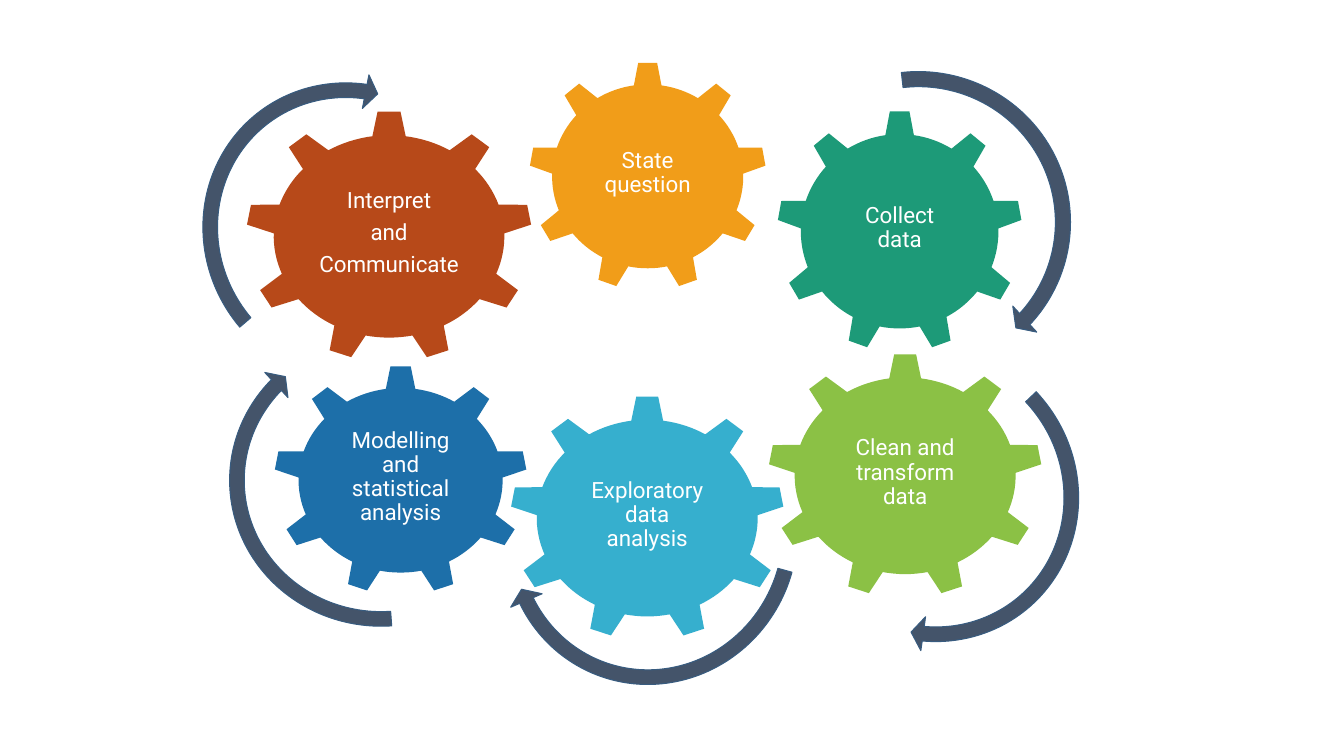
from math import cos, radians, sin

from pptx import Presentation
from pptx.dml.color import RGBColor
from pptx.enum.shapes import MSO_SHAPE as Preset
from pptx.enum.text import MSO_ANCHOR as Anchor, PP_ALIGN as Align
from pptx.util import Inches, Pt

# Content: centre x, centre y, width, height in percent of the slide
GEARS = [
    (["State question"], "F19D19", (48.19, 23.33, 17.78, 30.4)),
    (["Collect data"], "1D9A78", (66.94, 30.6, 18.38, 32.13)),
    (["Clean and transform data"], "8BC145", (67.35, 62.93, 20.55, 32.53)),
    (["Exploratory data analysis"], "36AFCE", (48.16, 68.53, 20.55, 32.53)),
    (["Modelling and statistical analysis"], "1D6FA9", (29.81, 63.53, 18.98, 30.53)),
    (["Interpret", "and", "Communicate"], "B74919", (28.95, 31.27, 21.45, 33.47)),
]
# Content: rotation, start angle of the arc, place in percent of the slide
FIRST_ARROW = (0, 158.12, (68.33, 29.4, 24.15, 42.53))
OTHER_ARROWS = [
    (50.6, 159.49, (69.23, 65.13, 24, 41.2)),
    (109.5, 159.49, (48.45, 70.6, 24, 41.2)),
    (180, 159.49, (28.35, 63.53, 24, 41.2)),
    (233.7, 159.49, (26.1, 30.73, 24, 41.2)),
]
ARROW_FILL, ARROW_LINE = "44546A", "385C80"

# Gear outline: (degrees from the tooth axis, share of the outer radius)
TEETH = 9
TOOTH = [(-8.3, 0.8), (-4.6, 0.99), (4.6, 0.99), (8.3, 0.8)]
VALLEY = [(degrees, 0.8) for degrees in range(11, 31, 3)]

FRAME_FORMAT = {
    "word_wrap": True,
    "vertical_anchor": Anchor.MIDDLE,
    "margin_left": Inches(0.71),
    "margin_right": Inches(0.71),
    "margin_top": Inches(0.83),
    "margin_bottom": Inches(0.85),
}
PARAGRAPH_FORMAT = {"alignment": Align.CENTER, "line_spacing": 0.9, "space_after": Pt(5.6)}
FONT_FORMAT = {"name": "Roboto", "size": Pt(16)}

presentation = Presentation()
presentation.slide_width, presentation.slide_height = Inches(13.33), Inches(7.5)
slide = presentation.slides.add_slide(presentation.slide_layouts[6])


def color(value):
    return RGBColor.from_string(value)


def apply(target, formats):
    for name, value in formats.items():
        setattr(target, name, value)


def to_lengths(place):
    """Turn percentages into centre x, centre y, width and height."""
    sides = (presentation.slide_width, presentation.slide_height) * 2
    return [round(share * side / 100) for share, side in zip(place, sides)]


def paint(shape, fill):
    shape.shadow.inherit = False
    shape.fill.solid()
    shape.fill.fore_color.rgb = color(fill)


def add_gear(lines, fill, place):
    center_x, center_y, width, height = to_lengths(place)
    points = []
    for tooth in range(TEETH):
        for offset, radius in TOOTH + VALLEY:
            angle = radians(tooth * 360 / TEETH + offset)
            points.append((center_x + radius * width / 2 * sin(angle),
                           center_y - radius * height / 2 * cos(angle)))
    builder = slide.shapes.build_freeform(*points[0])
    builder.add_line_segments(points[1:], close=True)
    gear = builder.convert_to_shape()
    paint(gear, fill)
    gear.line.fill.background()

    # Label
    frame = gear.text_frame
    apply(frame, FRAME_FORMAT)
    for index, line in enumerate(lines):
        paragraph = frame.add_paragraph() if index else frame.paragraphs[0]
        apply(paragraph, PARAGRAPH_FORMAT)
        run = paragraph.add_run()
        run.text = line
        apply(run.font, FONT_FORMAT)
        run.font.color.rgb = color("FFFFFF")


def add_arrow(rotation, start, place):
    center_x, center_y, width, height = to_lengths(place)
    arrow = slide.shapes.add_shape(
        Preset.CIRCULAR_ARROW, center_x - width // 2, center_y - height // 2, width, height)
    for index, value in enumerate((0.047, 2.99, 25.39, start, 0.055)):
        arrow.adjustments[index] = value
    arrow.rotation = rotation
    paint(arrow, ARROW_FILL)
    arrow.line.color.rgb = color(ARROW_LINE)
    arrow.line.width = Pt(0.75)


# The first arrow lies behind the gears, the others in front
add_arrow(*FIRST_ARROW)
for gear_content in GEARS:
    add_gear(*gear_content)
for arrow_content in OTHER_ARROWS:
    add_arrow(*arrow_content)

presentation.save("out.pptx")
